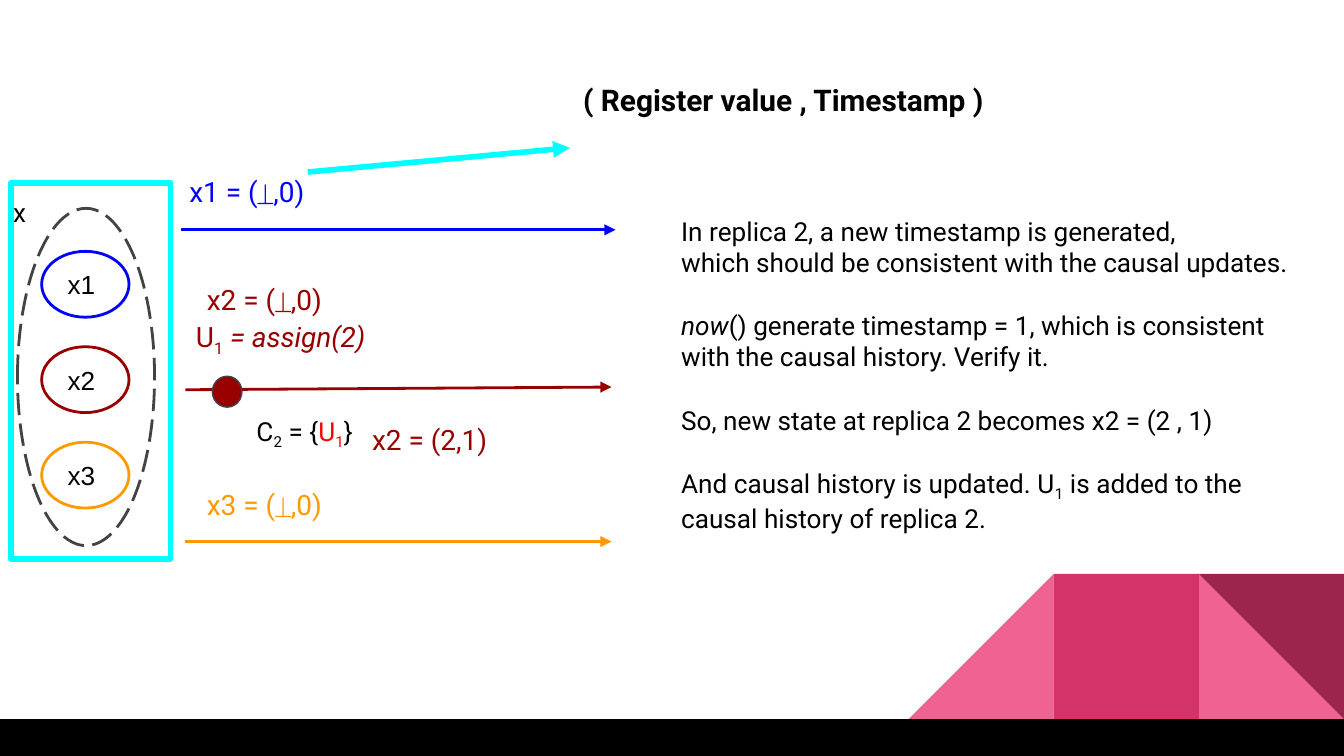
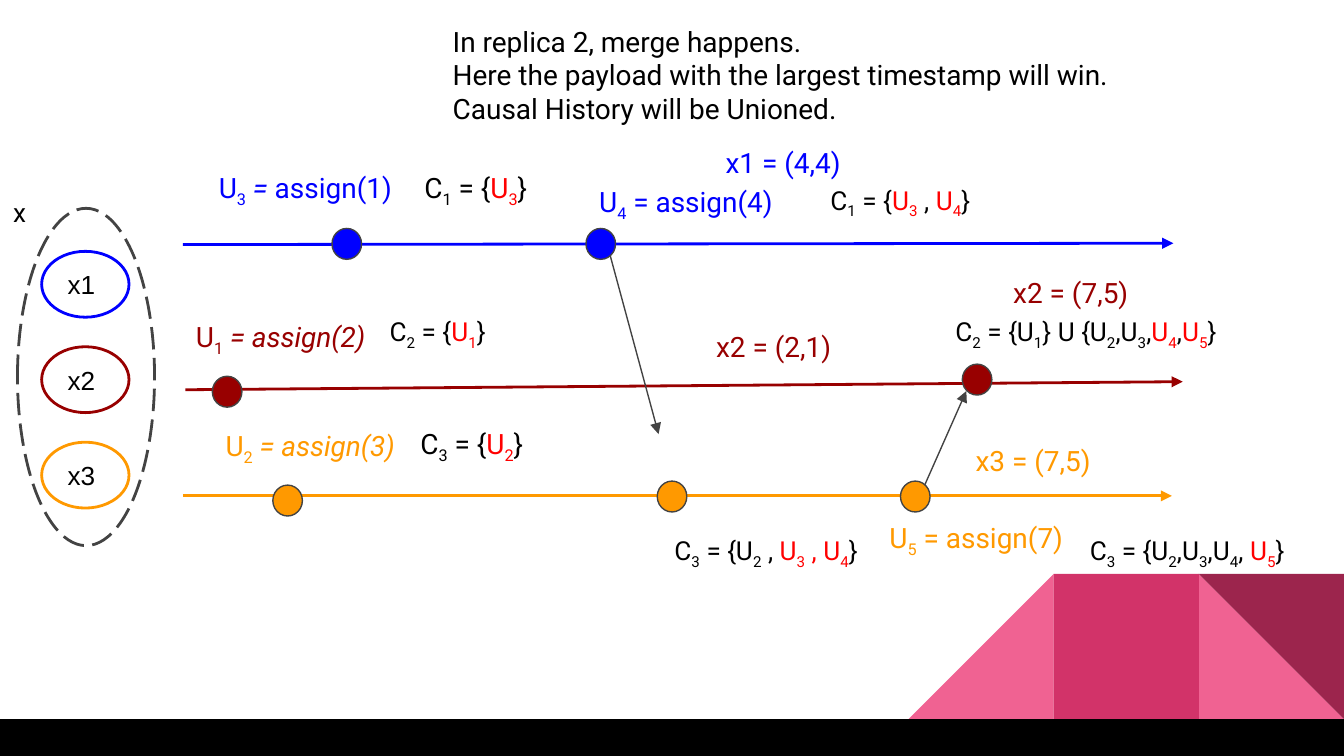
from itertools import groupby

from lxml.etree import SubElement
from pptx import Presentation
from pptx.dml.color import RGBColor
from pptx.enum.dml import MSO_LINE
from pptx.enum.shapes import MSO_CONNECTOR, MSO_SHAPE as Preset
from pptx.enum.text import MSO_ANCHOR, MSO_AUTO_SIZE, PP_ALIGN
from pptx.oxml.ns import qn
from pptx.util import Inches, Pt

# Square grid: 100 columns by 56.25 rows; every length below is in cells
CELL = Inches(0.1)
COLUMNS, ROWS = 100, 56.25

BLACK = RGBColor(0x00, 0x00, 0x00)
WHITE = RGBColor(0xFF, 0xFF, 0xFF)
GREY = RGBColor(0x43, 0x43, 0x43)
RED = RGBColor(0xFF, 0x00, 0x00)
CYAN = RGBColor(0x00, 0xFF, 0xFF)
PINK = RGBColor(0xF0, 0x62, 0x92)
MAGENTA = RGBColor(0xD2, 0x33, 0x69)
WINE = RGBColor(0x9C, 0x25, 0x4D)
# One colour per replica
BLUE = RGBColor(0x00, 0x00, 0xFF)
MAROON = RGBColor(0x98, 0x00, 0x00)
ORANGE = RGBColor(0xFF, 0x99, 0x00)


def add_figure(slide, preset, box, fill=None, line=None, line_width=1.5):
    """Add a preset shape; box is left, top, width, height in cells."""
    shape = slide.shapes.add_shape(preset, *[round(v * CELL) for v in box])
    shape.shadow.inherit = False
    if fill is None:
        shape.fill.background()
    else:
        shape.fill.solid()
        shape.fill.fore_color.rgb = fill
    if line is None:
        shape.line.fill.background()
    else:
        shape.line.color.rgb = line
        shape.line.width = Pt(line_width)
    return shape


def write(shape, lines, color, size, font="Roboto", bold=False):
    """Fill a shape: _ lowers the next sign, <..> is red, /../ is italic."""
    frame = shape.text_frame
    frame.word_wrap = True
    frame.margin_left = frame.margin_right = CELL
    frame.margin_top = frame.margin_bottom = CELL
    for index, line in enumerate(lines):
        paragraph = frame.add_paragraph() if index else frame.paragraphs[0]
        paragraph.alignment = PP_ALIGN.LEFT
        styled = []
        red = italic = lowered = False
        for sign in line:
            if sign in "<>":
                red = sign == "<"
            elif sign == "/":
                italic = not italic
            elif sign == "_":
                lowered = True
            else:
                styled.append((sign, (red, italic, lowered, sign == "⏊")))
                lowered = False
        for style, signs in groupby(styled, key=lambda item: item[1]):
            is_red, is_italic, is_lowered, is_bottom = style
            run = paragraph.add_run()
            run.text = "".join(sign for sign, _ in signs)
            run.font.name = font
            run.font.size = Pt(14 if is_bottom else size)
            run.font.bold = bold
            run.font.italic = is_italic
            run.font.color.rgb = RED if is_red else color
            if is_lowered:
                run.font._element.set("baseline", "-25000")


presentation = Presentation()
presentation.slide_width = COLUMNS * CELL
presentation.slide_height = round(ROWS * CELL)
layout = presentation.slide_layouts[6]
slides = [presentation.slides.add_slide(layout) for _ in range(2)]
register_slide, merge_slide = slides

# Shared corner ornament and footer band, kept on the layout
TILE = 10.8
FOOTER_TOP = 53.5
ornament = [
    (Preset.RIGHT_TRIANGLE, 1, PINK, 0),
    (Preset.RIGHT_TRIANGLE, 3, PINK, 270),
    (Preset.RECTANGLE, 2, MAGENTA, 0),
    (Preset.RIGHT_TRIANGLE, 1, WINE, 180),
]
band_shapes = []
for preset, tiles_from_right, fill, rotation in ornament:
    box = (COLUMNS - tiles_from_right * TILE, FOOTER_TOP - TILE, TILE, TILE)
    tile = add_figure(register_slide, preset, box, fill)
    tile.rotation = rotation
    band_shapes.append(tile)
footer_box = (0, FOOTER_TOP, COLUMNS, ROWS - FOOTER_TOP)
band_shapes.append(add_figure(register_slide, Preset.RECTANGLE, footer_box, BLACK))
for shape in band_shapes:
    layout.shapes._spTree.append(shape._element)

# Shared object x with its three replicas
for slide in slides:
    outline = add_figure(slide, Preset.OVAL, (1.3, 15.5, 10.2, 25.1), WHITE, GREY)
    outline.line.dash_style = MSO_LINE.LONG_DASH
    for row, color in enumerate((BLUE, MAROON, ORANGE)):
        box = (3.1, 18.7 + 7.1 * row, 6.5, 4.9)
        replica = add_figure(slide, Preset.FLOWCHART_CONNECTOR, box, WHITE, color)
        replica.text_frame.vertical_anchor = MSO_ANCHOR.MIDDLE
        write(replica, [f"x{row + 1}"], BLACK, 14, font="Arial")

# Highlight around the object on the first slide
add_figure(register_slide, Preset.RECTANGLE, (0.8, 13.6, 11.9, 28), None, CYAN, 3)

# Arrows: start, end, colour, width
register_arrows = [
    ((13.5, 17.1), (45.8, 17.1), BLUE, 1.5),
    ((13.8, 29), (45.5, 28.8), MAROON, 1.5),
    ((13.8, 40.3), (45.5, 40.3), ORANGE, 1.5),
    ((22.9, 12.8), (42.4, 11), CYAN, 3),
]
merge_arrows = [
    ((13.6, 18.2), (87.3, 18.1), BLUE, 1.5),
    ((13.8, 29), (88, 28.4), MAROON, 1.5),
    ((13.6, 36.9), (87.2, 36.9), ORANGE, 1.5),
    ((45.4, 19), (49, 32.3), GREY, 0.75),
    ((68.8, 36.1), (71.9, 29.1), GREY, 0.75),
]

# Events on the timelines: left, top, colour
first_assign = (15.8, 28, MAROON)
register_events = [first_assign]
merge_events = [
    first_assign,
    (20.3, 36.1, ORANGE),
    (24.7, 17, BLUE),
    (43.6, 17, BLUE),
    (48.9, 35.8, ORANGE),
    (67, 35.8, ORANGE),
    (71.6, 27.1, MAROON),
]

# Labels: left, top, width, height, colour, size, text
STATE = (11.9, 4.5)
shared_labels = [
    (0, 13.6, 3.8, 4.3, BLACK, 14, "x"),
    (13.6, 22.8, 15.5, 4.8, MAROON, 15, "U_1/ = assign(2)/"),
]
register_labels = shared_labels + [
    (13.1, 12, *STATE, BLUE, 15, "x1 = (⏊,0)"),
    (14.4, 20, *STATE, MAROON, 15, "x2 = (⏊,0)"),
    (14.4, 35.3, *STATE, ORANGE, 15, "x3 = (⏊,0)"),
    (26.7, 30.4, *STATE, MAROON, 15, "x2 = (2,1)"),
    (18.1, 29.9, 10.2, 4.6, BLACK, 14, "C_2 = {<U_1>}"),
]
merge_labels = shared_labels + [
    (53, 9.8, *STATE, BLUE, 15, "x1 = (4,4)"),
    (52.3, 23.5, *STATE, MAROON, 15, "x2 = (2,1)"),
    (74.4, 19.5, *STATE, MAROON, 15, "x2 = (7,5)"),
    (71.6, 32, *STATE, ORANGE, 15, "x3 = (7,5)"),
    (15.3, 11.7, 15.5, 4.8, BLUE, 15, "U_3/ = /assign(1)"),
    (43.6, 12.7, 16.4, 4.8, BLUE, 15, "U_4 = assign(4)"),
    (15.8, 30.9, 15.5, 4.8, ORANGE, 15, "U_2/ = assign(3)/"),
    (65.2, 37.7, 15.6, 4.8, ORANGE, 15, "U_5 = assign(7)"),
    (30.6, 11.7, 13.7, 4.8, BLACK, 15, "C_1 = {<U_3>}"),
    (60.8, 12.7, 14.7, 4.6, BLACK, 14, "C_1 = {<U_3> , <U_4>}"),
    (28, 22.5, 15.1, 4.6, BLACK, 14, "C_2 = {<U_1>}"),
    (70.1, 22.5, 26.9, 4.6, BLACK, 14, "C_2 = {U_1} U {U_2,U_3,<U_4>,<U_5>}"),
    (30.3, 30.7, 25.3, 4.8, BLACK, 15, "C_3 = {<U_2>}"),
    (49.2, 38.8, 19.4, 4.6, BLACK, 14, "C_3 = {U_2 , <U_3 , U_4>}"),
    (80.1, 38.8, 19.9, 4.6, BLACK, 14, "C_3 = {U_2,U_3,U_4, <U_5>}"),
]

# Explanations: box, size, bold, lines, index of the first spaced paragraph
register_notes = [
    ((42.4, 5.1, 36.5, 4.7), 16, True, ["( Register value , Timestamp )"], 1),
    ((49.7, 15, 49.3, 28), 14, False, [
        "In replica 2, a new timestamp is generated,",
        "which should be consistent with the causal updates.",
        "/now/() generate timestamp = 1, which is consistent with the causal history. Verify it.",
        "So, new state at replica 2 becomes x2 = (2 , 1)",
        "And causal history is updated. U_1 is added to the causal history of replica 2.",
    ], 2),
]
merge_notes = [
    ((32.7, 0.8, 52.8, 9.5), 15, False, [
        "In replica 2, merge happens.",
        "Here the payload with the largest timestamp will win.",
        "Causal History will be Unioned.",
    ], 3),
]

# Draw both slides
for slide, arrows, events, labels, notes in (
    (register_slide, register_arrows, register_events, register_labels, register_notes),
    (merge_slide, merge_arrows, merge_events, merge_labels, merge_notes),
):
    for start, end, color, width in arrows:
        ends = [round(v * CELL) for v in start + end]
        arrow = slide.shapes.add_connector(MSO_CONNECTOR.STRAIGHT, *ends)
        arrow.line.color.rgb = color
        arrow.line.width = Pt(width)
        SubElement(arrow.line._get_or_add_ln(), qn("a:tailEnd"), type="triangle")
        SubElement(arrow._element.spPr, qn("a:effectLst"))

    for left, top, color in events:
        box = (left, top, 2.2, 2.3)
        add_figure(slide, Preset.FLOWCHART_CONNECTOR, box, color, GREY, 0.75)

    texts = [(box, color, size, False, [text], 1)
             for *box, color, size, text in labels]
    texts += [(box, BLACK, size, bold, lines, spaced)
              for box, size, bold, lines, spaced in notes]
    for box, color, size, bold, lines, spaced in texts:
        text_box = slide.shapes.add_textbox(*[round(v * CELL) for v in box])
        write(text_box, lines, color, size, bold=bold)
        text_box.text_frame.auto_size = MSO_AUTO_SIZE.SHAPE_TO_FIT_TEXT
        for paragraph in text_box.text_frame.paragraphs[spaced:]:
            paragraph.space_before = Pt(17)

presentation.save("out.pptx")
